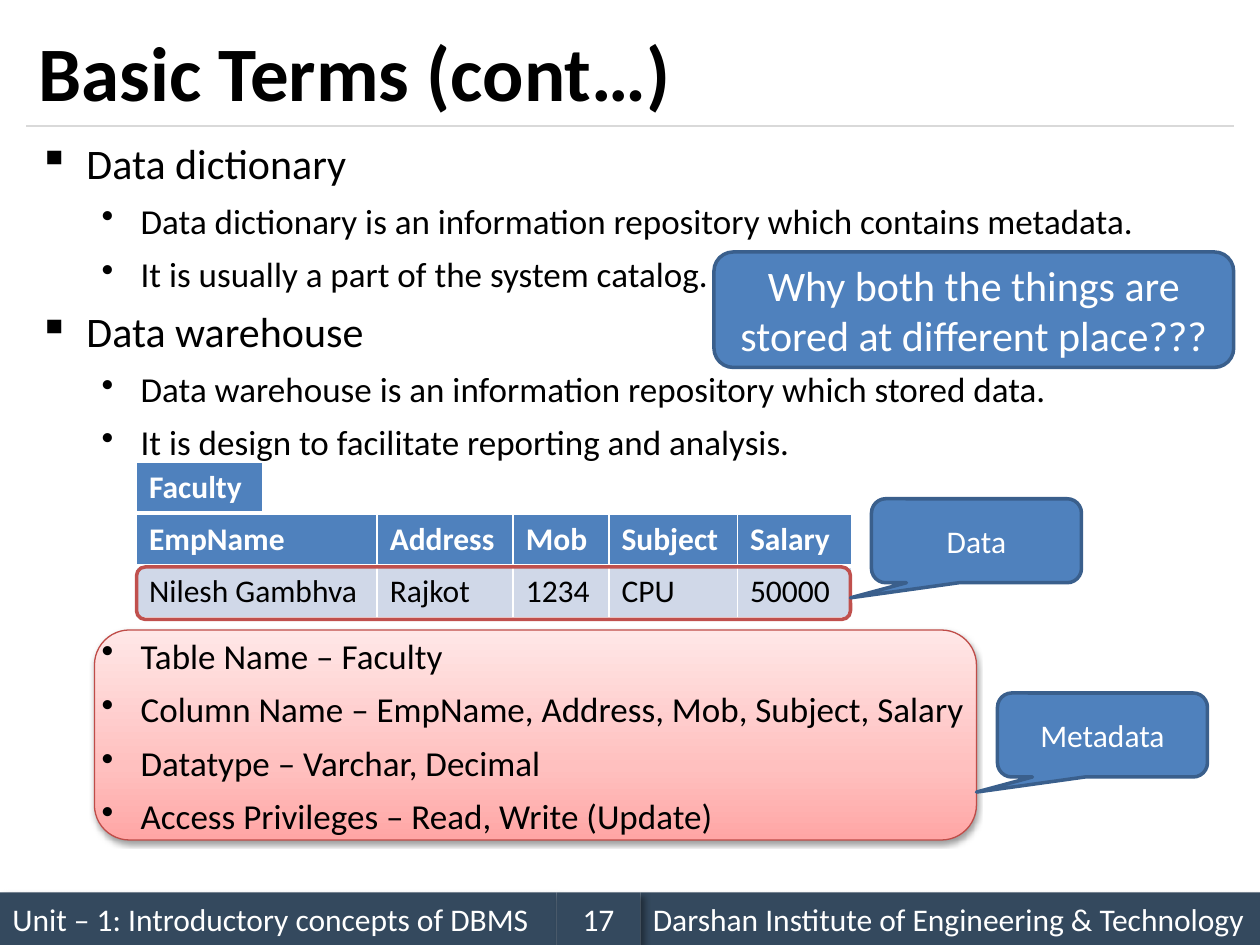
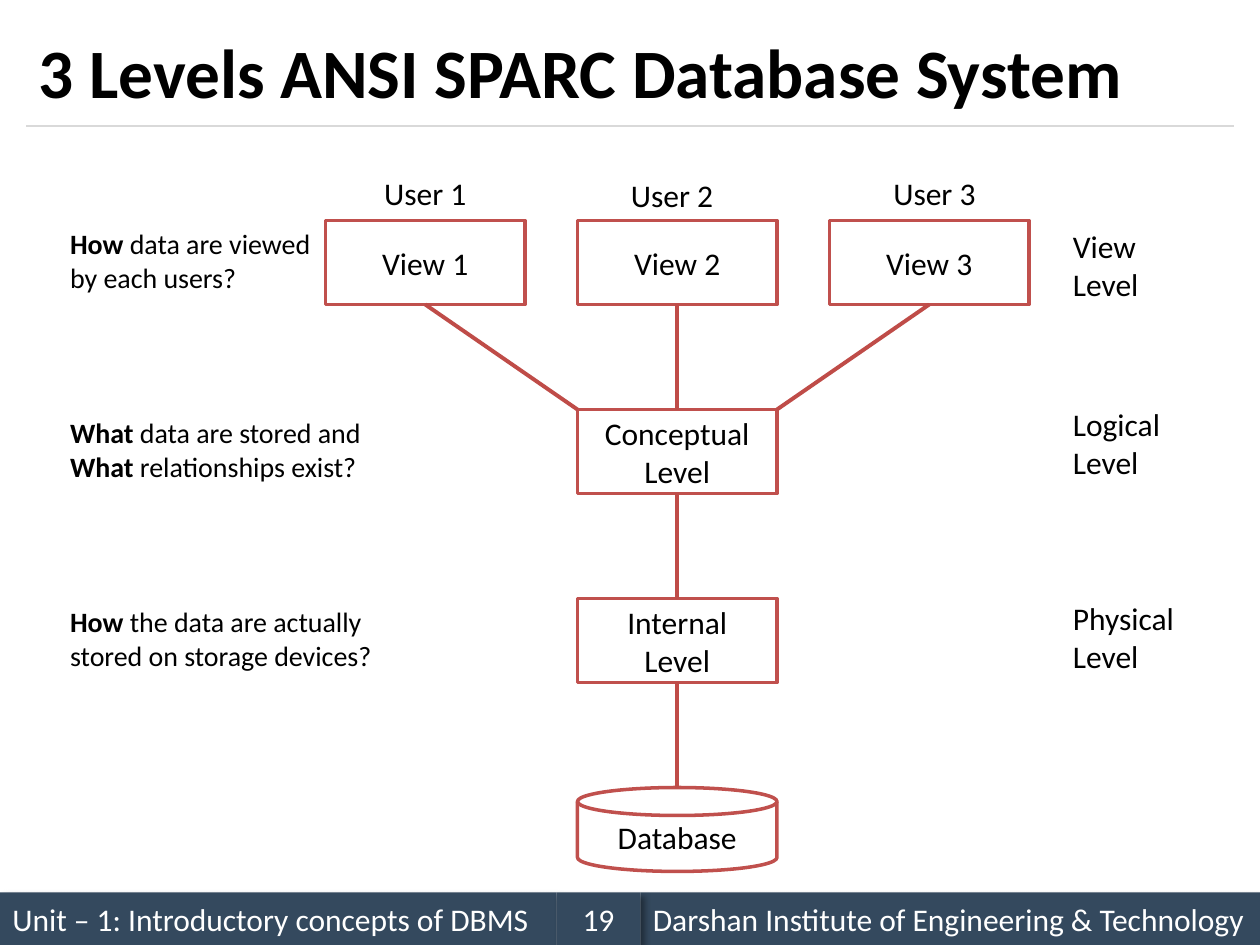
import pptx
import pptx.dml.color
import pptx.enum.shapes
import pptx.enum.text
import pptx.oxml
import pptx.oxml.ns
import pptx.util

# The slide is a grid of 120 columns by 90 rows of square cells.
COLUMNS, ROWS = 120, 90
CELL = pptx.util.Inches(10) // COLUMNS
FONT = "Calibri"
COLORS = {
    "band": "34495E", "rule": "D9D9D9", "text": "000000", "white": "FFFFFF",
    "blue": "4F81BD", "blue edge": "3A5F8C", "pale blue": "D0D8E8",
    "red": "C0504D", "link": "BF4C48",
    "pink low": "FFA6A5", "pink middle": "FFC0BF", "pink high": "FFE7E7",
}
SHAPES = pptx.enum.shapes.MSO_SHAPE
CENTER = pptx.enum.text.PP_ALIGN.CENTER
LEFT = pptx.enum.text.PP_ALIGN.LEFT
TOP = pptx.enum.text.MSO_ANCHOR.TOP
MIDDLE = pptx.enum.text.MSO_ANCHOR.MIDDLE


def grid(*cells):
    return [round(cell * CELL) for cell in cells]


def rgb(name):
    return pptx.dml.color.RGBColor.from_string(COLORS[name])


def drawing(xml):
    """Parse an XML fragment whose root is in the drawing namespace."""
    tag, rest = xml[1:].split(" ", 1)
    return pptx.oxml.parse_xml(f"<{tag} {pptx.oxml.ns.nsdecls('a')} {rest}")


def style(font, size, color, bold=False):
    font.name, font.size, font.bold = FONT, pptx.util.Pt(size), bold
    font.color.rgb = rgb(color)


def write(frame, lines, size, color="text", bold=False, align=LEFT, anchor=TOP):
    """Fill a frame; a line is a string or a (bold start, plain rest) pair."""
    frame.word_wrap = True
    frame.vertical_anchor = anchor
    for index, line in enumerate(lines):
        para = frame.add_paragraph() if index else frame.paragraphs[0]
        para.alignment = align
        spans = [(line, bold)] if isinstance(line, str) else zip(line, (True, False))
        for words, strong in spans:
            span = para.add_run()
            span.text = words
            style(span.font, size, color, strong)


def add_text(page, place, lines, size=18, **options):
    box = page.shapes.add_textbox(*grid(*place))
    write(box.text_frame, lines, size, **options)


def add_box(page, kind, place, fill=None, line=None, width=2, lines=(),
            size=18, color="text", align=CENTER):
    box = page.shapes.add_shape(kind, *grid(*place))
    box.shadow.inherit = False
    if fill:
        box.fill.solid()
        box.fill.fore_color.rgb = rgb(fill)
    else:
        box.fill.background()
    if line:
        box.line.color.rgb = rgb(line)
        box.line.width = pptx.util.Pt(width)
    else:
        box.line.fill.background()
    write(box.text_frame, lines, size, color, align=align, anchor=MIDDLE)
    return box


def add_shadow(box, blur, distance, degrees, opacity):
    effects = box._element.spPr.find(pptx.oxml.ns.qn("a:effectLst"))
    effects.append(drawing(
        f'<a:outerShdw blurRad="{pptx.util.Pt(blur)}" dist="{pptx.util.Pt(distance)}" '
        f'dir="{degrees * 60000}" algn="tl" rotWithShape="0">'
        f'<a:srgbClr val="{COLORS["text"]}"><a:alpha val="{opacity * 1000}"/></a:srgbClr>'
        '</a:outerShdw>'))


def add_gradient(box, stops, degrees):
    """Replace the empty fill of a box by a gradient of (percent, colour) stops."""
    marks = "".join(f'<a:gs pos="{percent * 1000}"><a:srgbClr val="{COLORS[name]}"/></a:gs>'
                    for percent, name in stops)
    properties = box._element.spPr
    properties.replace(
        properties.find(pptx.oxml.ns.qn("a:noFill")),
        drawing(f'<a:gradFill rotWithShape="1"><a:gsLst>{marks}</a:gsLst>'
                f'<a:lin ang="{degrees * 60000}" scaled="0"/></a:gradFill>'))


def add_line(page, start, end, color, width):
    line = page.shapes.add_connector(
        pptx.enum.shapes.MSO_CONNECTOR.STRAIGHT, *grid(*start, *end))
    line.line.color.rgb = rgb(color)
    line.line.width = pptx.util.Pt(width)
    line._element.spPr.append(drawing("<a:effectLst />"))


def add_bullets(page, place, items):
    """Write (level, words) items as a two-level list."""
    levels = [("▪", 0.38, 0.38, 24), ("•", 0.81, 0.31, 20)]
    frame = page.shapes.add_textbox(*grid(*place)).text_frame
    frame.word_wrap = True
    for index, (level, words) in enumerate(items):
        mark, margin, hang, size = levels[level]
        para = frame.add_paragraph() if index else frame.paragraphs[0]
        para.text = words
        para.level = level
        para.line_spacing = 0.9
        para.space_before = pptx.util.Pt(9 if index else 0)
        properties = para._p.get_or_add_pPr()
        properties.set("marL", str(pptx.util.Inches(margin)))
        properties.set("indent", str(-pptx.util.Inches(hang)))
        properties.append(drawing(f'<a:buChar char="{mark}"/>'))
        style(para.runs[0].font, size, "text")


def add_table(page, left, top, widths, rows):
    """Add a table with a blue header row; widths are in inches."""
    height = pptx.util.Inches(0.41)
    table = page.shapes.add_table(
        len(rows), len(widths), *grid(left, top),
        pptx.util.Inches(sum(widths)), height * len(rows)).table
    table.horz_banding = False
    for column, width in zip(table.columns, widths):
        column.width = pptx.util.Inches(width)
    for index, values in enumerate(rows):
        header = index == 0
        table.rows[index].height = height
        for cell, value in zip(table.rows[index].cells, values):
            properties = cell._tc.get_or_add_tcPr()
            for side in "LRTB":
                width = pptx.util.Pt(3 if header and side == "B" else 1)
                properties.append(drawing(
                    f'<a:ln{side} w="{width}"><a:solidFill><a:srgbClr '
                    f'val="{COLORS["white"]}"/></a:solidFill></a:ln{side}>'))
            cell.fill.solid()
            cell.fill.fore_color.rgb = rgb("blue" if header else "pale blue")
            write(cell.text_frame, [value], 18, "white" if header else "text", header)


def add_page(deck, title, number, title_size):
    """Add a slide with its footer bands, title and rule."""
    page = deck.slides.add_slide(deck.slide_layouts[6])
    bands = [
        (0, 53, "Unit – 1: Introductory concepts of DBMS", LEFT),
        (61, 59, "Darshan Institute of Engineering & Technology", LEFT),
        (53, 8, number, CENTER),
    ]
    for left, width, words, align in bands:
        band = add_box(page, SHAPES.RECTANGLE, (left, ROWS - 5, width, 5), "band",
                       lines=[words], color="white", align=align)
        add_shadow(band, 4, 3, 45, 40)
    add_line(page, (2.5, 12), (COLUMNS - 2.5, 12), "rule", 0.75)
    add_text(page, (2.5, 1.5, COLUMNS - 5, 10.5), [title], title_size,
             bold=True, anchor=MIDDLE)
    return page


def add_callout(page, left, top, words):
    box = add_box(page, SHAPES.ROUNDED_RECTANGULAR_CALLOUT, (left, top, 20, 8),
                  "blue", "blue edge", lines=[words], color="white")
    for index, value in enumerate((-0.6, 0.68, 0.17)):
        box.adjustments[index] = value


def build_terms(deck):
    page = add_page(deck, "Basic Terms (cont…)", "17", 44)
    metadata = add_box(page, SHAPES.ROUNDED_RECTANGLE, (9, 60, 84, 20),
                       line="link", width=0.75)
    add_gradient(metadata, [(0, "pink low"), (35, "pink middle"), (100, "pink high")], 270)
    add_shadow(metadata, 3.1, 1.6, 90, 38)
    add_table(page, 13, 44, [1], [["Faculty"]])
    add_bullets(page, (2.5, 13, 115, 32), [
        (0, "Data dictionary"),
        (1, "Data dictionary is an information repository which contains metadata."),
        (1, "It is usually a part of the system catalog."),
        (0, "Data warehouse"),
        (1, "Data warehouse is an information repository which stored data."),
        (1, "It is design to facilitate reporting and analysis."),
    ])
    add_bullets(page, (2.5, 60.25, 115, 20), [
        (1, "Table Name – Faculty"),
        (1, "Column Name – EmpName, Address, Mob, Subject, Salary"),
        (1, "Datatype – Varchar, Decimal"),
        (1, "Access Privileges – Read, Write (Update)"),
    ])
    add_table(page, 13, 49, [1.91, 1.08, 0.76, 1.02, 0.91], [
        ["EmpName", "Address", "Mob", "Subject", "Salary"],
        ["Nilesh Gambhva", "Rajkot", "1234", "CPU", "50000"],
    ])
    add_box(page, SHAPES.ROUNDED_RECTANGLE, (13, 54, 68, 5), line="red")
    add_callout(page, 95, 66, "Metadata")
    add_callout(page, 83, 47.5, "Data")
    add_box(page, SHAPES.ROUNDED_RECTANGLE, (68, 24, 49.5, 11), "blue", "blue edge",
            lines=["Why both the things are stored at different place???"],
            size=24, color="white")


def build_levels(deck):
    page = add_page(deck, "3 Levels ANSI SPARC Database System", "19", 39.6)
    width, height = 19, 8
    view_lefts = [31, 55, 79]
    middle_left = view_lefts[1]
    middle = middle_left + width / 2
    tops = [21, 39, 57, 75]

    def add_node(left, top, lines, kind=SHAPES.RECTANGLE):
        add_box(page, kind, (left, top, width, height), "white", "red", lines=lines)

    for number, left in enumerate(view_lefts, 1):
        add_node(left, tops[0], [f"View {number}"])
    add_node(middle_left, tops[1], ["Conceptual", "Level"])
    add_node(middle_left, tops[2], ["Internal", "Level"])
    add_node(middle_left, tops[3], ["Database"], SHAPES.FLOWCHART_MAGNETIC_DISK)

    for left, target in zip(view_lefts, (middle_left, middle, middle_left + width)):
        add_line(page, (left + width / 2, tops[0] + height), (target, tops[1]), "link", 2.25)
    for upper, lower in zip(tops[1:], tops[2:]):
        add_line(page, (middle, upper + height), (middle, lower), "link", 2.25)

    for number, (left, top) in enumerate([(34.5, 16), (58, 16.2), (83, 16)], 1):
        add_text(page, (left, top, 12, 4.8), [f"User {number}"], align=CENTER)
    for name, top, span in [("View", 21, 9), ("Logical", 38, 11), ("Physical", 56.5, 13)]:
        add_text(page, (101, top, span, 8.5), [name, "Level"])
    questions = [
        (25.5, [("How ", "data are viewed by each users?")]),
        (37, [("What ", "data are stored and"), ("What ", "relationships exist?")]),
        (33, [("How ", "the data are actually stored on storage devices?")]),
    ]
    for top, (span, lines) in zip(tops, questions):
        add_text(page, (5.5, top, span, 7.7), lines, 16)


def main():
    deck = pptx.Presentation()
    deck.slide_width, deck.slide_height = COLUMNS * CELL, ROWS * CELL
    build_terms(deck)
    build_levels(deck)
    deck.save("out.pptx")


if __name__ == "__main__":
    main()
